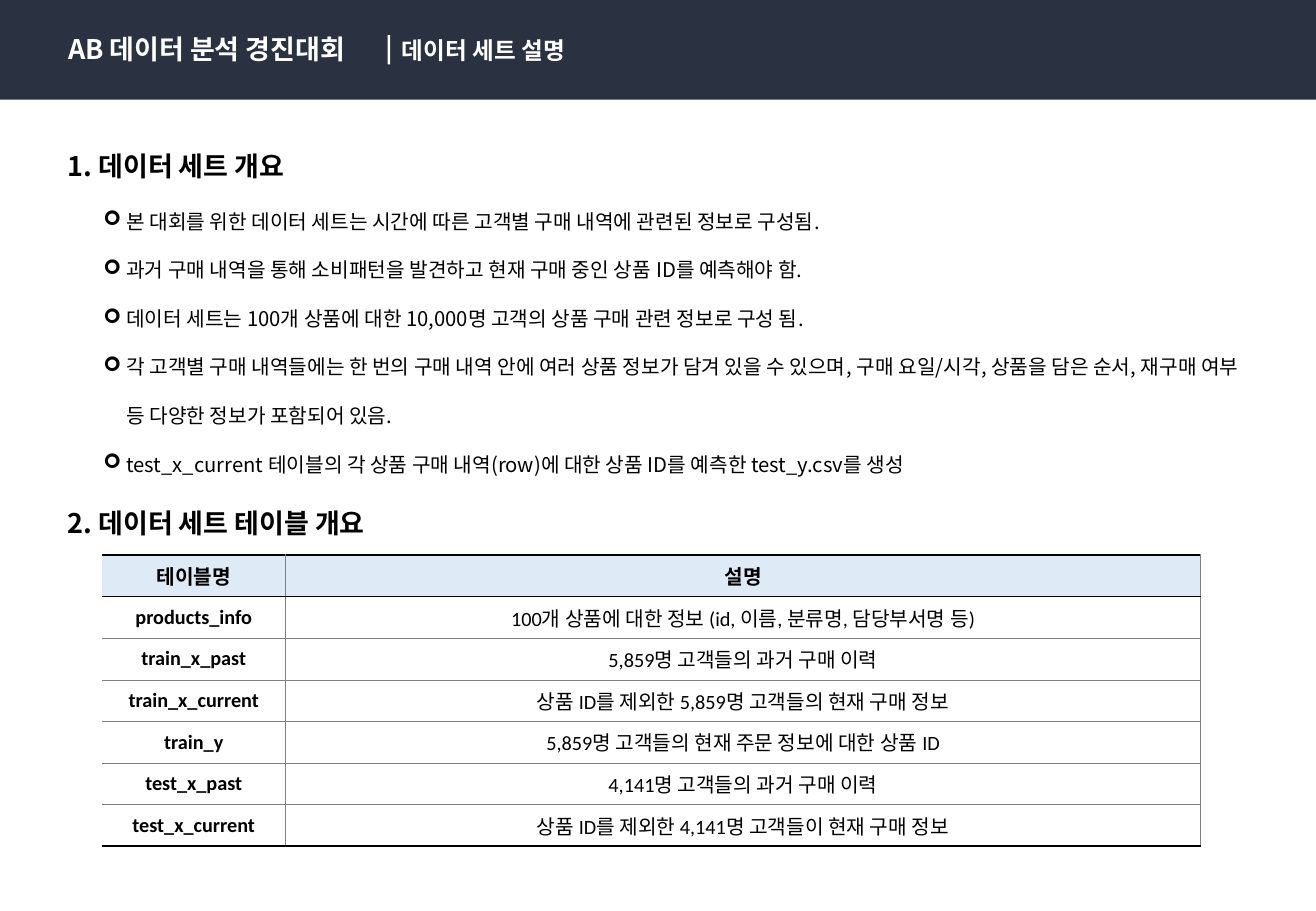
from lxml.etree import SubElement
from pptx import Presentation
from pptx.dml.color import RGBColor
from pptx.enum.shapes import MSO_SHAPE as Shape
from pptx.enum.text import MSO_ANCHOR as Anchor, MSO_AUTO_SIZE as AutoSize, PP_ALIGN as Align
from pptx.oxml.ns import qn
from pptx.util import Inches, Pt

KOREAN_FONT = "Noto Sans CJK KR"
NAVY, WHITE, BLACK, GREY, PALE_BLUE = "2A3140", "FFFFFF", "000000", "808080", "DEEBF7"

OVERVIEW = [
    "본 대회를 위한 데이터 세트는 시간에 따른 고객별 구매 내역에 관련된 정보로 구성됨.",
    "과거 구매 내역을 통해 소비패턴을 발견하고 현재 구매 중인 상품 ID를 예측해야 함.",
    "데이터 세트는 100개 상품에 대한 10,000명 고객의 상품 구매 관련 정보로 구성 됨.",
    "각 고객별 구매 내역들에는 한 번의 구매 내역 안에 여러 상품 정보가 담겨 있을 수 있으며, "
    "구매 요일/시각, 상품을 담은 순서, 재구매 여부 등 다양한 정보가 포함되어 있음.",
    "test_x_current 테이블의 각 상품 구매 내역(row)에 대한 상품 ID를 예측한 test_y.csv를 생성",
]
TABLE_ROWS = [
    ("테이블명", "설명"),
    ("products_info", "100개 상품에 대한 정보 (id, 이름, 분류명, 담당부서명 등)"),
    ("train_x_past", "5,859명 고객들의 과거 구매 이력"),
    ("train_x_current", "상품 ID를 제외한 5,859명 고객들의 현재 구매 정보"),
    ("train_y", "5,859명 고객들의 현재 주문 정보에 대한 상품 ID"),
    ("test_x_past", "4,141명 고객들의 과거 구매 이력"),
    ("test_x_current", "상품 ID를 제외한 4,141명 고객들이 현재 구매 정보"),
]


def color(hex_string):
    return RGBColor.from_string(hex_string)


def place(shape, left, top, width, height):
    shape.left, shape.top = Inches(left), Inches(top)
    shape.width, shape.height = Inches(width), Inches(height)


def format_runs(paragraph, size, hex_color=BLACK, bold=False, font=KOREAN_FONT):
    for run in paragraph.runs:
        run.font.size, run.font.bold, run.font.name = Pt(size), bold, font
        run.font.color.rgb = color(hex_color)
        SubElement(run.font._element, qn("a:ea"), typeface=KOREAN_FONT)


def fill_text(shape, text, size, hex_color, anchor, line_spacing=1.0):
    frame = shape.text_frame
    frame.text = text
    frame.word_wrap, frame.auto_size = True, AutoSize.NONE
    frame.vertical_anchor = anchor
    paragraph = frame.paragraphs[0]
    paragraph.alignment, paragraph.line_spacing = Align.LEFT, line_spacing
    format_runs(paragraph, size, hex_color, bold=True)


def add_text(slide, box, *text_settings):
    shape = slide.shapes.add_textbox(*map(Inches, box))
    fill_text(shape, *text_settings)


def add_block(slide, box, hex_color):
    block = slide.shapes.add_shape(Shape.RECTANGLE, *map(Inches, box))
    block.shadow.inherit = False
    block.fill.solid()
    block.fill.fore_color.rgb = color(hex_color)
    block.line.fill.background()
    return block


def build_header(slide, left, top, width, height):
    band = add_block(slide, (left, top, width, height), NAVY)
    slide.shapes._spTree.insert(2, band._element)  # behind the title
    title = slide.shapes.title
    place(title, left + 0.46, top + 0.22, 2.7, 0.37)
    fill_text(title, "AB 데이터 분석 경진대회", 16, WHITE, Anchor.TOP)
    add_text(slide, (left + 3.21, top + 0.24, 3.53, 0.34),
             "데이터 세트 설명", 14, WHITE, Anchor.MIDDLE)
    add_block(slide, (left + 3.19, top + 0.29, 0.02, 0.24), WHITE)


def build_section_heading(slide, text, left, top):
    add_text(slide, (left, top, 8, 0.5), text, 16, BLACK, Anchor.MIDDLE, 1.5)


def build_overview(slide, *box):
    body = slide.placeholders[1]
    place(body, *box)
    frame = body.text_frame
    frame.text = "\n".join(OVERVIEW)
    frame.word_wrap, frame.auto_size = True, AutoSize.NONE
    frame.vertical_anchor = Anchor.TOP
    for paragraph in frame.paragraphs:
        paragraph.line_spacing, paragraph.space_before = 2.0, Pt(0)
        format_runs(paragraph, 12)
        properties = paragraph._p.get_or_add_pPr()
        properties.set("marL", str(Inches(0.19)))
        properties.set("indent", str(Inches(-0.19)))
        SubElement(properties, qn("a:buFont"), typeface="Wingdings")
        SubElement(properties, qn("a:buChar"), char="➢")


def set_border(cell, side, hex_color, width):
    """Draw one cell edge (L, R, T or B); a colour of None hides it."""
    line = SubElement(cell._tc.get_or_add_tcPr(), qn(f"a:ln{side}"), w=str(Pt(width)))
    if hex_color is None:
        SubElement(line, qn("a:noFill"))
    else:
        fill = SubElement(line, qn("a:solidFill"))
        SubElement(fill, qn("a:srgbClr"), val=hex_color)


def build_table(slide, left, top, width, height):
    row_count = len(TABLE_ROWS)
    frame = slide.shapes.add_table(row_count, 2, *map(Inches, (left, top, width, height)))
    table = frame.table
    table.first_row = table.horz_banding = False
    name_width = 1.51
    table.columns[0].width = Inches(name_width)
    table.columns[1].width = Inches(width - name_width)
    thin, strong = (GREY, 0.25), (BLACK, 1)

    for row_index, texts in enumerate(TABLE_ROWS):
        is_header = row_index == 0
        is_last = row_index == row_count - 1
        table.rows[row_index].height = Inches(height / row_count)
        for column_index, text in enumerate(texts):
            cell = table.cell(row_index, column_index)
            cell.text = text
            cell.vertical_anchor = Anchor.MIDDLE
            paragraph = cell.text_frame.paragraphs[0]
            paragraph.alignment = Align.CENTER
            format_runs(paragraph, 12, bold=is_header or column_index == 0, font="Calibri")
            set_border(cell, "L", *(thin if column_index else (None, 0)))
            set_border(cell, "R", *thin)
            set_border(cell, "T", *(strong if row_index < 2 else thin))
            set_border(cell, "B", *(strong if is_header or is_last else thin))
            if is_header:
                cell.fill.solid()
                cell.fill.fore_color.rgb = color(PALE_BLUE)
            else:
                cell.fill.background()


def main():
    presentation = Presentation()
    presentation.slide_width, presentation.slide_height = Inches(10.83), Inches(7.5)
    slide = presentation.slides.add_slide(presentation.slide_layouts[1])
    build_header(slide, 0, 0, 10.83, 0.82)
    build_section_heading(slide, "1. 데이터 세트 개요", 0.46, 1.05)
    build_overview(slide, 0.75, 1.47, 9.72, 2.52)
    build_section_heading(slide, "2. 데이터 세트 테이블 개요", 0.46, 3.99)
    build_table(slide, 0.84, 4.57, 9.04, 2.32)
    presentation.save("out.pptx")


if __name__ == "__main__":
    main()
